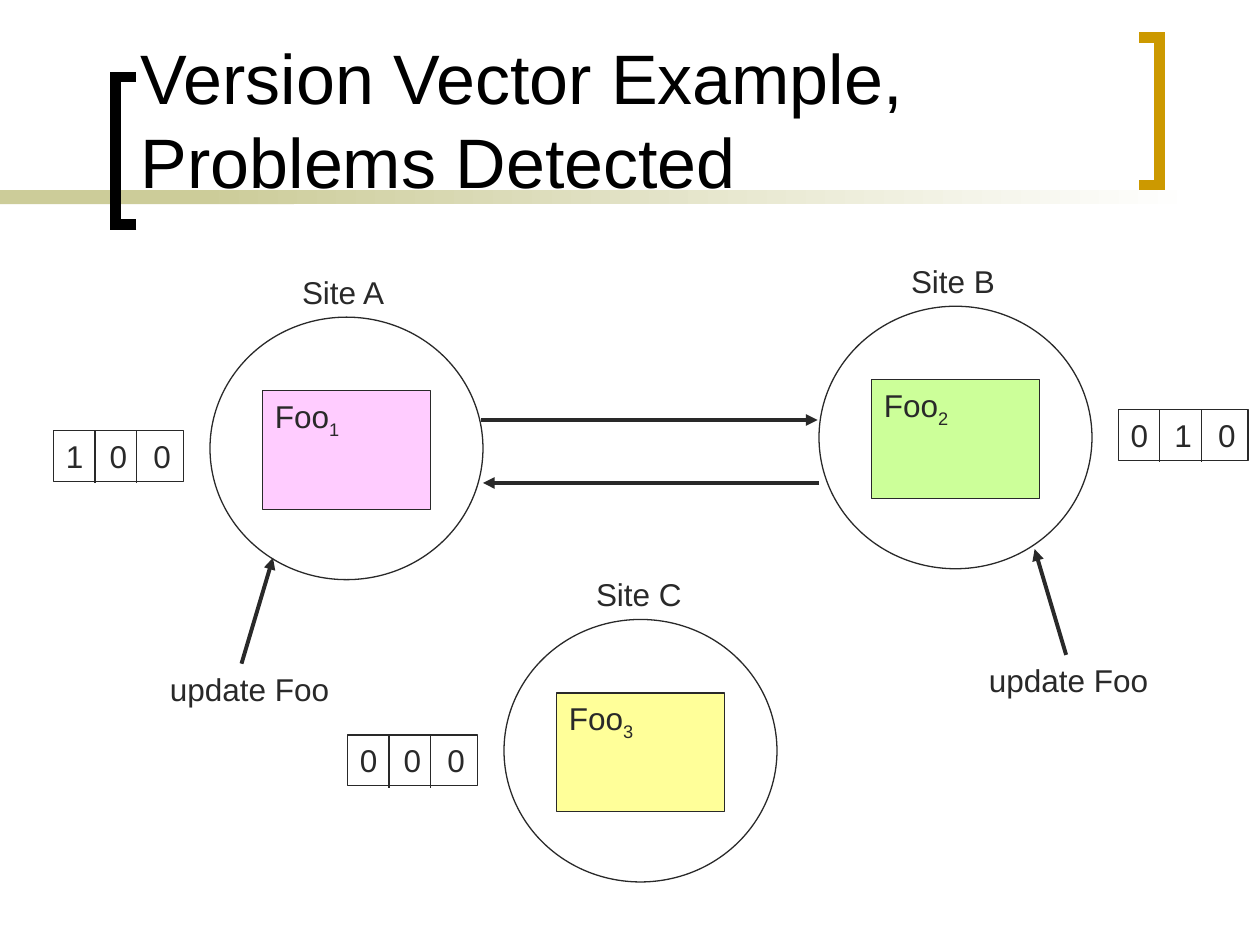
import pptx
import pptx.util
import pptx.dml.color
import pptx.enum.dml
import pptx.enum.shapes
import pptx.enum.text
from lxml import etree

Pt = pptx.util.Pt
SHAPE = pptx.enum.shapes.MSO_SHAPE
NS = "http://schemas.openxmlformats.org/drawingml/2006/main"

COLORS = {"ink": "292929", "black": "000000", "gold": "CC9900", "olive": "CCCC99",
          "white": "FFFFFF", "pink": "FFCCFF", "green": "CCFF99", "yellow": "FFFF99"}

TITLE = "Version Vector Example, Problems Detected"
SITES = [("Site A", "1", "pink", 120, 181.25),
         ("Site B", "2", "green", 468, 175),
         ("Site C", "3", "yellow", 288, 354)]
VECTORS = [((1, 0, 0), 30.5, 246),
           ((0, 0, 0), 198.5, 420),
           ((0, 1, 0), 639, 234)]
UPDATES = [("update Foo", 90, 379.25, 48, 18),
           ("update Foo", 558, 374.25, 51.25, -18)]
MESSAGES = [((275, 240), (467.25, 240)),
            ((468, 276), (276, 276))]
BRACKETS = [("black", [(78, 128.25), (66, 128.25), (66, 44), (78, 44)]),
            ("gold", [(651, 21.5), (662.5, 21.5), (662.5, 105.75), (651, 105.75)])]


def rgb(name):
    return pptx.dml.color.RGBColor.from_string(COLORS[name])


def sub(parent, tag, **attrs):
    return etree.SubElement(parent, f"{{{NS}}}{tag}", **attrs)


def add_shape(s, kind, x, y, w, h, fill=None, line="ink"):
    sp = s.shapes.add_shape(kind, Pt(x), Pt(y), Pt(w), Pt(h))
    sp.shadow.inherit = False
    if fill:
        sp.fill.solid()
        sp.fill.fore_color.rgb = rgb(fill)
    else:
        sp.fill.background()
    if line:
        sp.line.color.rgb = rgb(line)
        sp.line.width = Pt(0.75)
    else:
        sp.line.fill.background()
    return sp


def add_line(s, start, end, width=2.25, arrow=True):
    ln = s.shapes.add_connector(pptx.enum.shapes.MSO_CONNECTOR.STRAIGHT,
                                *(Pt(v) for v in start + end))
    ln.line.color.rgb = rgb("ink")
    ln.line.width = Pt(width)
    if arrow:
        sub(ln.line._get_or_add_ln(), "tailEnd", type="triangle")
    sub(ln._element.spPr, "effectLst")


def add_run(p, text, size=18, color="ink"):
    r = p.add_run()
    r.text = text
    r.font.name = "Arial"
    r.font.size = Pt(size)
    r.font.color.rgb = rgb(color)
    return r


def write(sp, text):
    tf = sp.text_frame
    tf.word_wrap = True
    tf.margin_right = 0
    tf.vertical_anchor = pptx.enum.text.MSO_ANCHOR.TOP
    p = tf.paragraphs[0]
    p.alignment = pptx.enum.text.PP_ALIGN.LEFT
    add_run(p, text)
    return p


def add_label(s, text, x, y, w):
    write(s.shapes.add_textbox(Pt(x), Pt(y), Pt(w), Pt(29)), text)


def add_site(s, name, number, color, x, y):
    add_shape(s, SHAPE.OVAL, x, y, 156, 150)
    add_label(s, name, x + 45.5, y - 29, 63)
    p = write(add_shape(s, SHAPE.RECTANGLE, x + 30, y + 42, 96, 67.75, color), "Foo")
    add_run(p, number).font._element.set("baseline", "-25000")


def add_vector(s, values, x, y):
    sp = add_shape(s, SHAPE.RECTANGLE, x, y, 74.25, 29)
    p = write(sp, "\t".join(str(v) for v in values))
    tabs = sub(p._p.get_or_add_pPr(), "tabLst")
    for i in range(1, len(values)):
        sub(tabs, "tab", pos=str(Pt(25 * i)), algn="l")
        add_line(s, (x + 23.75 * i, y), (x + 23.75 * i, y + 30), 0.75, False)


def add_bracket(s, color, points):
    start, *rest = [(Pt(x), Pt(y)) for x, y in points]
    builder = s.shapes.build_freeform(*start)
    builder.add_line_segments(rest, close=False)
    sp = builder.convert_to_shape()
    sp.shadow.inherit = False
    sp.fill.background()
    sp.line.color.rgb = rgb(color)
    sp.line.width = Pt(6)
    sub(sp.line._get_or_add_ln(), "miter", lim="800000")


def add_title(s):
    title = s.shapes.title
    title.left, title.top, title.width, title.height = Pt(73.25), Pt(8), Pt(564), Pt(111.25)
    s.shapes._spTree.append(title._element)
    tf = title.text_frame
    tf.word_wrap = True
    tf.auto_size = pptx.enum.text.MSO_AUTO_SIZE.NONE
    tf.vertical_anchor = pptx.enum.text.MSO_ANCHOR.BOTTOM
    p = tf.paragraphs[0]
    p.alignment = pptx.enum.text.PP_ALIGN.LEFT
    add_run(p, TITLE, 40, "black")


def main():
    prs = pptx.Presentation()
    prs.slide_width, prs.slide_height = Pt(720), Pt(540)
    s = prs.slides.add_slide(prs.slide_layouts[5])

    add_shape(s, SHAPE.RECTANGLE, 0, 108.75, 168, 8, "olive", None)
    band = add_shape(s, SHAPE.RECTANGLE, 114, 108.75, 570, 8, None, None)
    band.fill.gradient()
    band.fill.gradient_angle = 0
    for stop, color, position in zip(band.fill.gradient_stops, ("olive", "white"), (0, 1)):
        stop.color.rgb = rgb(color)
        stop.position = position
    for bracket in BRACKETS:
        add_bracket(s, *bracket)
    add_title(s)

    for site in SITES:
        add_site(s, *site)
    for text, x, y, dx, lean in UPDATES:
        add_line(s, (x + dx, y), (x + dx + lean, y - 60.5))
        add_label(s, text, x, y, 106)
    for start, end in MESSAGES:
        add_line(s, start, end)
    for vector in VECTORS:
        add_vector(s, *vector)
    prs.save("out.pptx")


if __name__ == "__main__":
    main()
